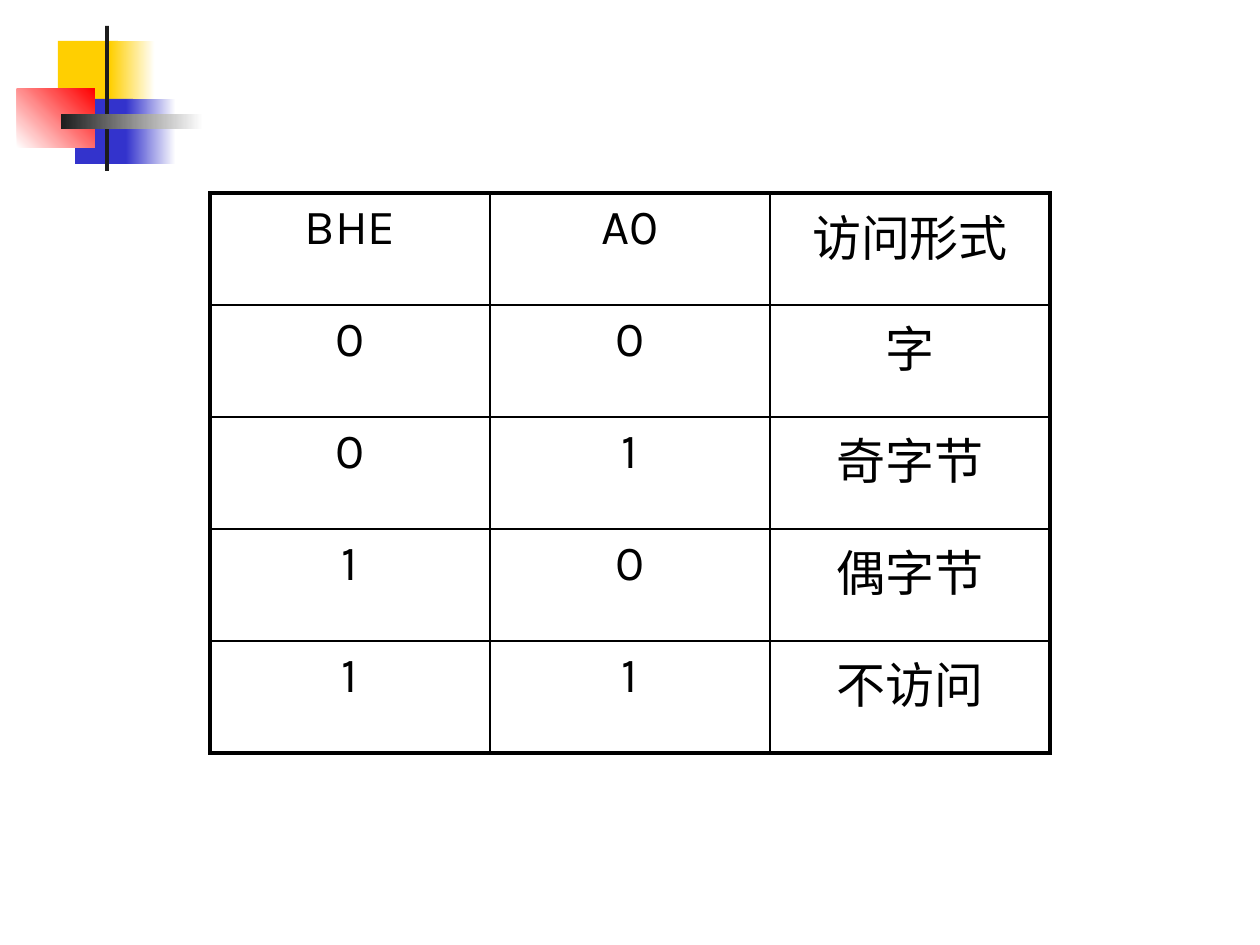
from lxml.etree import SubElement
from pptx import Presentation
from pptx.dml.color import RGBColor
from pptx.enum.shapes import MSO_SHAPE
from pptx.enum.text import PP_ALIGN
from pptx.oxml.ns import qn
from pptx.util import Emu, Pt

PX_PER_INCH = 126


def px(length):
    return Emu(round(length * 914400 / PX_PER_INCH))


def color(value):
    return RGBColor.from_string(value)


def write_text(text_frame, text, *, font, size, fill, align):
    paragraph = text_frame.paragraphs[0]
    paragraph.alignment = align
    run = paragraph.add_run()
    run.text = text
    run.font.name = font
    run.font.size = Pt(size)
    run.font.color.rgb = color(fill)


def add_border(cell, side, width, fill):
    line = SubElement(cell._tc.get_or_add_tcPr(), qn(f"a:ln{side}"), w=str(Pt(width)))
    SubElement(SubElement(line, qn("a:solidFill")), qn("a:srgbClr"), val=fill)


class SlideBuilder:
    font = "Karla"
    text_size = 28
    ink = "000000"
    inner_line = 1
    outer_line = 2.25

    def __init__(self, slide):
        self.slide = slide

    def rectangle(self, left, top, width, height, *stops, angle=0):
        """Fill with one colour, or with a gradient between two."""
        shape = self.slide.shapes.add_shape(
            MSO_SHAPE.RECTANGLE, px(left), px(top), px(width), px(height))
        shape.shadow.inherit = False
        shape.line.fill.background()
        if len(stops) == 1:
            shape.fill.solid()
            shape.fill.fore_color.rgb = color(stops[0])
        else:
            shape.fill.gradient()
            shape.fill.gradient_angle = angle
            for stop, value in zip(shape.fill.gradient_stops, stops):
                stop.color.rgb = color(value)

    def table(self, left, top, column_width, row_height, rows):
        row_count, column_count = len(rows), len(rows[0])
        table = self.slide.shapes.add_table(
            row_count, column_count, px(left), px(top),
            px(column_width * column_count), px(row_height * row_count)).table
        table.first_row = table.horz_banding = False
        for column in table.columns:
            column.width = px(column_width)
        for row in table.rows:
            row.height = px(row_height)
        for i, texts in enumerate(rows):
            for j, text in enumerate(texts):
                cell = table.cell(i, j)
                on_edge = {"L": j == 0, "R": j == column_count - 1,
                           "T": i == 0, "B": i == row_count - 1}
                for side, outer in on_edge.items():
                    width = self.outer_line if outer else self.inner_line
                    add_border(cell, side, width, self.ink)
                cell.fill.background()
                write_text(cell.text_frame, text, font=self.font,
                           size=self.text_size, fill=self.ink, align=PP_ALIGN.CENTER)


def main():
    presentation = Presentation()
    presentation.slide_width, presentation.slide_height = px(1260), px(945)
    builder = SlideBuilder(presentation.slides.add_slide(presentation.slide_layouts[6]))

    # Corner ornament: fading blocks behind a cross of two bars
    builder.rectangle(58, 41, 60, 65, "FFCF01")
    builder.rectangle(110, 41, 45, 65, "FFCF01", "FFFFFF")
    builder.rectangle(75, 99, 58, 65, "3333CC")
    builder.rectangle(126, 99, 50, 65, "3333CC", "FFFFFF")
    builder.rectangle(17, 89, 78, 59, "FFFFFF", "FF0000", angle=45)
    builder.rectangle(105, 26, 4, 145, "1C1C1C")
    builder.rectangle(61, 114, 142, 15, "1C1C1C", "FFFFFF")

    # Truth table of memory access
    builder.table(210, 193, 280, 112, [
        ("BHE", "A0", "访问形式"),
        ("0", "0", "字"),
        ("0", "1", "奇字节"),
        ("1", "0", "偶字节"),
        ("1", "1", "不访问"),
    ])

    presentation.save("out.pptx")


if __name__ == "__main__":
    main()
